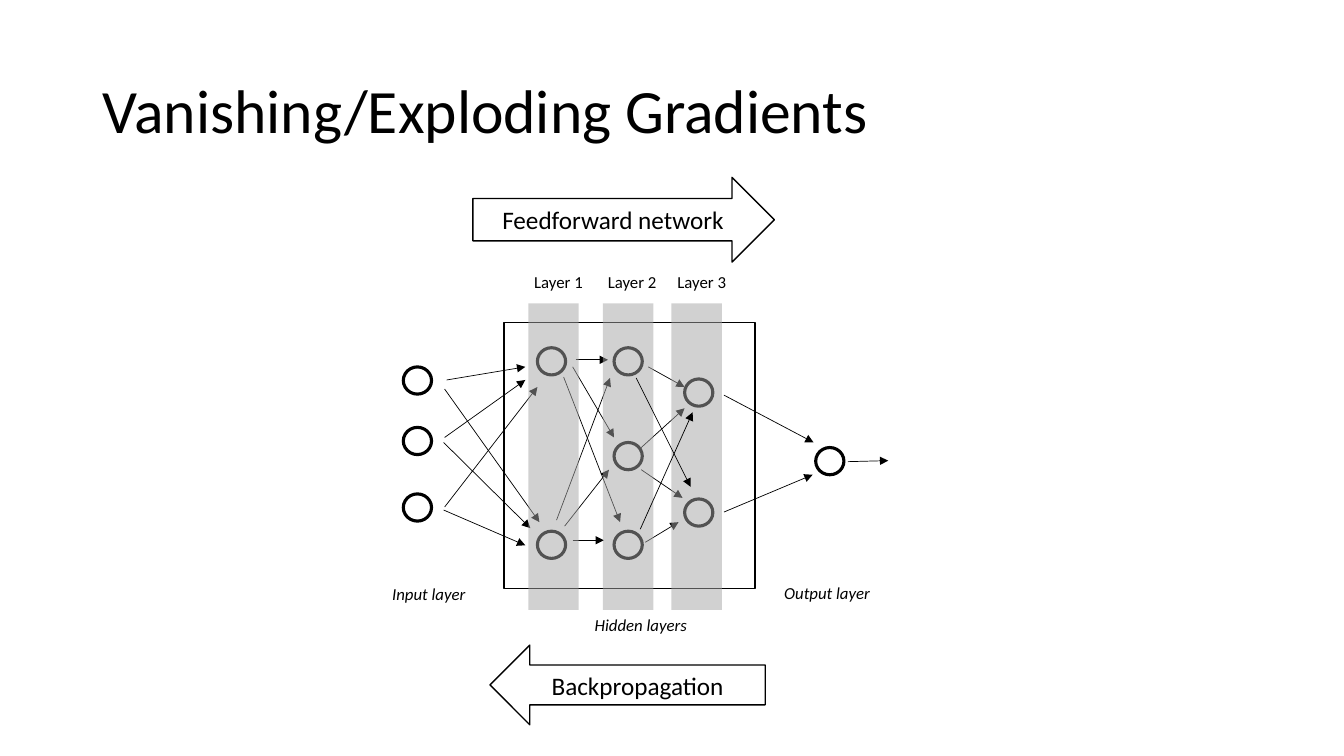
from collections import namedtuple

from lxml import etree
from pptx import Presentation
from pptx.dml.color import RGBColor
from pptx.enum.shapes import MSO_CONNECTOR as Connector, MSO_SHAPE as Shape
from pptx.enum.text import MSO_ANCHOR as Anchor, PP_ALIGN as Align
from pptx.oxml.ns import qn
from pptx.util import Inches, Pt

BLACK = RGBColor(0x00, 0x00, 0x00)
WHITE = RGBColor(0xFF, 0xFF, 0xFF)
GRAY = RGBColor(0xA5, 0xA5, 0xA5)
FONT = "Calibri"

Box = namedtuple("Box", "left top width height")

# All network positions are offsets in inches from the network box
NEURON_SIZE = (0.28, 0.27)
LAYERS = [  # left edge, then the top of each neuron
    (0, [0.64, 1.24, 1.9]),
    (1.33, [0.45, 2.27]),
    (2.09, [0.45, 1.39, 2.27]),
    (2.79, [0.76, 1.95]),
    (4.09, [1.44]),
]
LINKS = [  # start x, y and end x, y
    # input to layer 1
    (0.43, 0.77, 1.21, 0.64), (0.41, 1.34, 1.21, 0.77),
    (0.41, 2.03, 1.33, 0.84), (0.41, 0.86, 1.35, 2.18),
    (0.4, 1.39, 1.26, 2.24), (0.4, 2.06, 1.21, 2.41),
    # layer 3 to output
    (3.18, 0.92, 4.07, 1.39), (3.18, 2.08, 4.06, 1.71),
    # layer 1 to layer 2
    (1.71, 0.57, 2.03, 0.57), (1.68, 0.64, 2.09, 1.34),
    (1.59, 0.74, 2.15, 2.18), (1.52, 2.16, 2.05, 0.75),
    (1.6, 2.22, 2.04, 1.66), (1.68, 2.36, 1.99, 2.36),
    # layer 2 to layer 3
    (2.43, 0.64, 2.79, 0.84), (2.36, 1.44, 2.79, 1.05),
    (2.36, 1.66, 2.77, 1.94), (2.4, 2.38, 2.73, 2.18),
]
FRONT_LINKS = [  # drawn over the bands
    (2.35, 2.25, 2.87, 1.09), (2.31, 0.75, 2.85, 1.83),
    (4.41, 1.58, 4.81, 1.57),
]
BANDS = [  # band left, label left, label
    (1.24, 1.2, "Layer 1"),
    (1.98, 1.93, "Layer 2"),
    (2.66, 2.62, "Layer 3"),
]
CAPTIONS = [  # left, top, width, caption
    (-0.21, 2.74, 0.99, "Input layer"),
    (1.8, 3.05, 1.13, "Hidden layers"),
    (3.68, 2.73, 1.13, "Output layer"),
]


def inside(box, left, top, width, height):
    return Box(box.left + left, box.top + top, width, height)


def write(shape, text, size, italic=False):
    frame = shape.text_frame
    frame.word_wrap = True
    frame.text = text
    para = frame.paragraphs[0]
    font = para.runs[0].font
    font.name, font.size, font.italic = FONT, Pt(size), italic
    font.color.rgb = BLACK
    return para


def add_label(page, box, text, size=12, italic=False):
    label = page.shapes.add_textbox(*map(Inches, box))
    para = write(label, text, size, italic)
    return label, para


def add_outline(page, kind, box, line_width, fill=WHITE):
    shape = page.shapes.add_shape(kind, *map(Inches, box))
    shape.shadow.inherit = False
    if fill is None:
        shape.fill.background()
    else:
        shape.fill.solid()
        shape.fill.fore_color.rgb = fill
    if line_width:
        shape.line.color.rgb = BLACK
        shape.line.width = Pt(line_width)
    else:
        shape.line.fill.background()
    return shape


def add_links(page, box, links):
    for x1, y1, x2, y2 in links:
        ends = (box.left + x1, box.top + y1, box.left + x2, box.top + y2)
        link = page.shapes.add_connector(Connector.STRAIGHT, *map(Inches, ends))
        link.line.color.rgb = BLACK
        link.line.width = Pt(0.5)
        outline = link.line._get_or_add_ln()
        etree.SubElement(outline, qn("a:tailEnd"), type="triangle")
        etree.SubElement(link._element.spPr, qn("a:effectLst"))


def add_band(page, box):
    band = add_outline(page, Shape.RECTANGLE, box, 0, GRAY)
    color = band._element.spPr.find(qn("a:solidFill"))[0]
    etree.SubElement(color, qn("a:alpha"), val="50000")


def add_title(page, box):
    title, para = add_label(page, box, "Vanishing/Exploding Gradients", 44)
    title.text_frame.vertical_anchor = Anchor.MIDDLE
    para.line_spacing = 0.9


def add_network(page, box):
    # Neurons and the frame of the hidden layers
    for left, tops in LAYERS:
        for top in tops:
            add_outline(page, Shape.OVAL, inside(box, left, top, *NEURON_SIZE), 2.25)
    add_outline(page, Shape.RECTANGLE, inside(box, 1, 0.2, 2.49, 2.64), 1, None)

    # Links, then the translucent bands over them
    add_links(page, box, LINKS)
    for left, label_left, text in BANDS:
        add_band(page, inside(box, left, 0.01, 0.5, 3.04))
        add_label(page, inside(box, label_left, -0.35, 0.73, 0.3), text)
    add_links(page, box, FRONT_LINKS)

    # Captions
    for left, top, width, text in CAPTIONS:
        add_label(page, inside(box, left, top, width, 0.3), text, italic=True)


def add_direction(page, kind, box, text):
    arrow = add_outline(page, kind, box, 1)
    arrow.text_frame.vertical_anchor = Anchor.MIDDLE
    write(arrow, text, 18).alignment = Align.CENTER


def main():
    deck = Presentation()
    deck.slide_width, deck.slide_height = Inches(13.33), Inches(7.5)
    page = deck.slides.add_slide(deck.slide_layouts[6])

    add_title(page, Box(0.92, 0.4, 11.5, 1.45))
    add_network(page, Box(4, 3, 4.81, 3.05))
    add_direction(page, Shape.RIGHT_ARROW, Box(4.69, 1.76, 2.99, 0.84), "Feedforward network")
    add_direction(page, Shape.LEFT_ARROW, Box(4.86, 6.4, 2.73, 0.79), "Backpropagation")

    deck.save("out.pptx")


if __name__ == "__main__":
    main()
